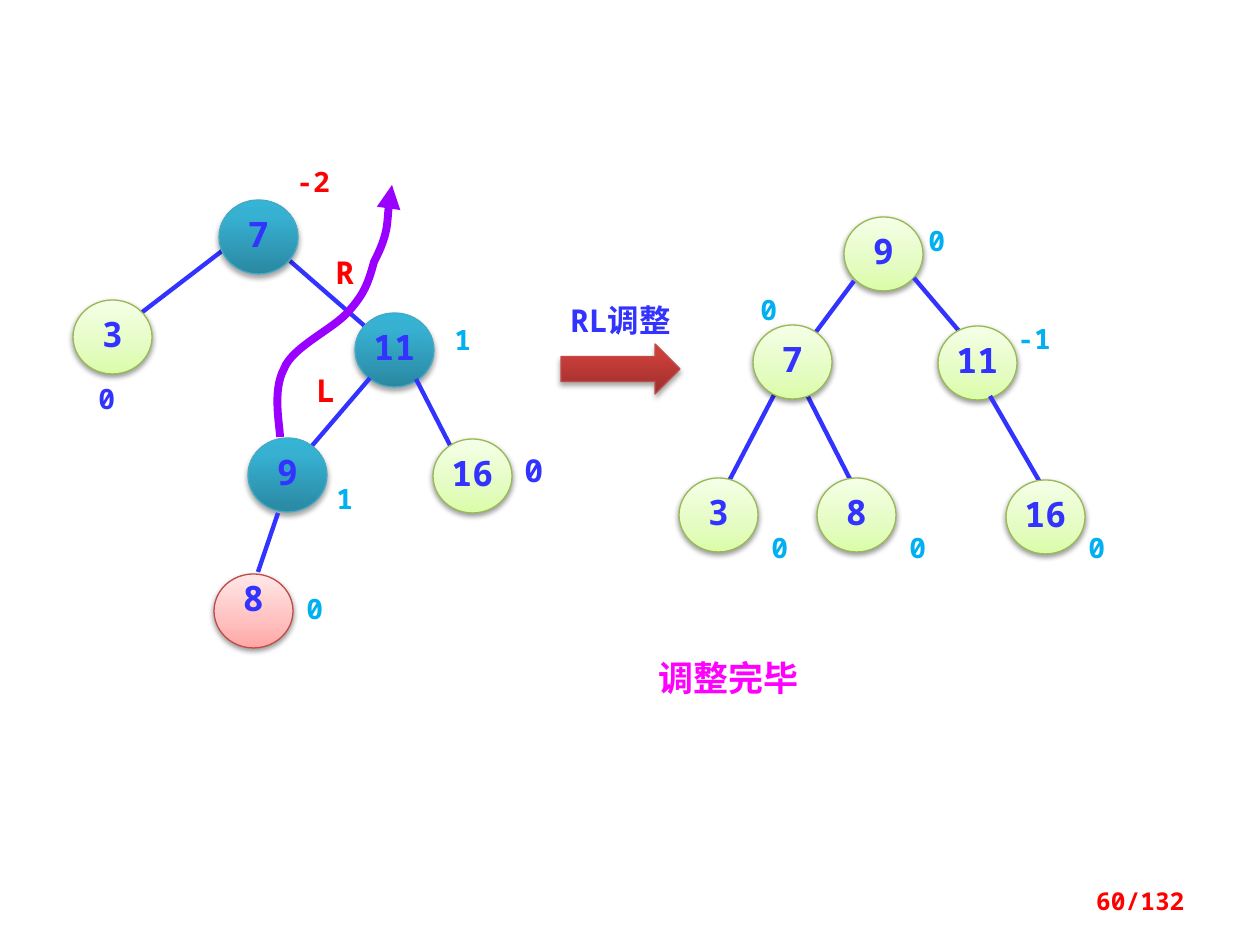
import pptx
import pptx.dml.color
import pptx.enum.shapes
import pptx.enum.text
import pptx.oxml
import pptx.oxml.ns
import pptx.oxml.xmlchemy
import pptx.util

RGB = pptx.dml.color.RGBColor
SHAPE = pptx.enum.shapes.MSO_SHAPE
ALIGN = pptx.enum.text.PP_ALIGN
ANCHOR = pptx.enum.text.MSO_ANCHOR
Pt = pptx.util.Pt
qn = pptx.oxml.ns.qn

SCALE = 914400 / 126
FONT = "Noto Sans Mono"
BLUE = RGB(0x33, 0x33, 0xFF)
SKY = RGB(0x00, 0xB0, 0xF0)
RED = RGB(0xFF, 0x00, 0x00)
MAGENTA = RGB(0xFF, 0x00, 0xFF)
PURPLE = RGB(0x99, 0x00, 0xFF)
TEAL_EDGE = RGB(0x46, 0xAA, 0xC5)
GREEN_EDGE = RGB(0x98, 0xB9, 0x55)
RED_EDGE = RGB(0xBF, 0x4C, 0x48)

TEAL = (TEAL_EDGE, ((0, RGB(0x2A, 0x88, 0xA2)), (80, RGB(0x37, 0xB1, 0xD2)), (100, RGB(0x34, 0xB4, 0xD6))), 35, 1.8)
GREEN = (GREEN_EDGE, ((0, RGB(0xDA, 0xFD, 0xA7)), (35, RGB(0xE4, 0xFC, 0xC2)), (100, RGB(0xF5, 0xFF, 0xE7))), 38, 1.6)
PINK = (RED_EDGE, ((0, RGB(0xFF, 0xA6, 0xA5)), (35, RGB(0xFF, 0xC0, 0xBF)), (100, RGB(0xFF, 0xE7, 0xE7))), 38, 1.6)
BRICK = (RED_EDGE, ((0, RGB(0x9C, 0x2F, 0x2D)), (80, RGB(0xCB, 0x3E, 0x3A)), (100, RGB(0xCE, 0x3B, 0x37))), 35, 1.8)

NODE_W, NODE_H = 79, 74

LEFT_NODES = (
    ("3", 3, 150, GREEN, (152, 101, 62, 170)),
    ("11", 285, 163, TEAL, (220, 111, 297, 178)),
    ("7", 149, 50, TEAL, None),
    ("9", 178, 288, TEAL, (300, 228, 229, 311)),
    ("16", 363, 289, GREEN, (346, 229, 382, 299)),
    ("8", 144, 424, PINK, (208, 363, 188, 422)),
)
LEFT_LABELS = (
    ("R", 253, 97, 18, RED), ("L", 234, 215, 18, RED),
    ("0", 224, 435, 16, SKY), ("1", 254, 325, 16, SKY),
    ("0", 442, 295, 18, BLUE), ("1", 372, 166, 16, SKY),
    ("0", 16, 225, 16, BLUE), ("-2", 214, 8, 16, RED),
)
RIGHT_NODES = (
    ("8", 147, 268, GREEN, (134, 179, 182, 273)),
    ("3", 9, 268, GREEN, (105, 183, 58, 273)),
    ("9", 174, 7, GREEN, None),
    ("7", 83, 115, GREEN, (184, 71, 134, 138)),
    ("11", 268, 116, GREEN, (244, 68, 289, 121)),
    ("16", 336, 270, GREEN, (320, 186, 371, 274)),
)
RIGHT_LABELS = (
    ("0", 89, 314, 16, SKY), ("0", 227, 314, 16, SKY),
    ("0", 406, 314, 16, SKY), ("0", 246, 7, 16, SKY),
    ("0", 78, 76, 16, SKY), ("-1", 335, 105, 16, SKY),
)
ROTATION_PATH = (
    (210, 287),
    (210, 276), (202, 241), (214, 219),
    (222, 197), (264, 179), (279, 161),
    (294, 144), (298, 134), (304, 112),
    (319, 83), (318, 52), (322, 35),
)


def px(length):
    """Turn px into EMU."""
    return pptx.util.Emu(round(length * SCALE))


def add_child(parent, tag, **attributes):
    """Append an XML element with the given attributes."""
    child = pptx.oxml.xmlchemy.OxmlElement(tag)
    for key, value in attributes.items():
        child.set(key, str(value))
    parent.append(child)
    return child


def write(frame, text, size, color, align=ALIGN.LEFT):
    """Write one bold run into a text frame."""
    frame.word_wrap = True
    paragraph = frame.paragraphs[0]
    paragraph.alignment = align
    run = paragraph.add_run()
    run.text = text
    run.font.name = FONT
    run.font.size = Pt(size)
    run.font.bold = True
    run.font.color.rgb = color
    return paragraph


def add_label(slide, box, text, size, color, align=ALIGN.LEFT, anchor=ANCHOR.TOP):
    """Add a text box filling the box."""
    frame = slide.shapes.add_textbox(*map(px, box)).text_frame
    frame.vertical_anchor = anchor
    write(frame, text, size, color, align)


def add_glossy(slide, kind, box, palette):
    """Add a preset shape with a gradient fill and a soft shadow."""
    edge, stops, opacity, distance = palette
    glossy = slide.shapes.add_shape(kind, *map(px, box))
    glossy.line.color.rgb = edge
    glossy.line.width = Pt(0.75)
    glossy.fill.gradient()
    glossy.fill.gradient_angle = 90
    properties = glossy.element.spPr
    stop_list = next(properties.iter(qn("a:gsLst")))
    stop_list.clear()
    for position, color in stops:
        stop = add_child(stop_list, "a:gs", pos=position * 1000)
        add_child(stop, "a:srgbClr", val=color)
    glossy.shadow.inherit = False
    effects = properties.find(qn("a:effectLst"))
    shadow = add_child(effects, "a:outerShdw", blurRad=Pt(3.1), dist=Pt(distance), dir=5400000, rotWithShape=0)
    add_child(add_child(shadow, "a:srgbClr", val="000000"), "a:alpha", val=opacity * 1000)
    return glossy


def add_edge(slide, left, top, ends):
    """Join a parent node to its child."""
    x1, y1, x2, y2 = ends
    edge = slide.shapes.add_connector(
        pptx.enum.shapes.MSO_CONNECTOR.STRAIGHT,
        px(left + x1), px(top + y1), px(left + x2), px(top + y2))
    edge.line.color.rgb = BLUE
    edge.line.width = Pt(2.5)
    add_child(edge.element.spPr, "a:effectLst")


def draw_tree(slide, box, nodes, labels):
    """Draw a tree with its nodes, edges and balance factors."""
    left, top = box
    for key, x, y, palette, ends in nodes:
        if ends:
            add_edge(slide, left, top, ends)
        node = add_glossy(slide, SHAPE.OVAL, (left + x, top + y, NODE_W, NODE_H), palette)
        frame = node.text_frame
        frame.margin_left = frame.margin_right = frame.margin_bottom = 0
        frame.margin_top = 0 if palette is PINK else px(10)
        frame.vertical_anchor = ANCHOR.TOP
        write(frame, key, 20, BLUE, ALIGN.CENTER).line_spacing = 0.8
    for text, x, y, size, color in labels:
        width = 39 if text == "0" or text == "1" else 49 if len(text) == 1 else 75
        add_label(slide, (left + x, top + y, width, 50 if size == 18 else 47), text, size, color)


def draw_rotation(slide, box):
    """Draw the curved arrow through the rotated nodes."""
    left, top = box
    builder = slide.shapes.build_freeform(*ROTATION_PATH[0], scale=SCALE)
    builder.add_line_segments(ROTATION_PATH[1:], close=False)
    curve = builder.convert_to_shape(px(left), px(top))
    curve.fill.background()
    curve.line.color.rgb = PURPLE
    curve.line.width = Pt(4.5)
    curve.shadow.inherit = False
    properties = curve.element.spPr
    add_child(properties.find(qn("a:ln")), "a:tailEnd", type="triangle")
    segments = list(properties.iter(qn("a:lnTo")))
    outline = segments[0].getparent()
    for first in range(0, len(segments), 3):
        bezier = add_child(outline, "a:cubicBezTo")
        for segment in segments[first:first + 3]:
            bezier.append(segment[0])
            outline.remove(segment)


def draw_transition(slide, box):
    """Draw the captioned arrow between the trees."""
    left, top = box
    add_glossy(slide, SHAPE.RIGHT_ARROW, (left + 19, top + 49, 119, 50), BRICK)
    add_label(slide, (left, top, 157, 50), "RL调整", 18, BLUE, ALIGN.CENTER)


def main():
    """Build and save the slide."""
    deck = pptx.Presentation()
    deck.slide_width, deck.slide_height = px(1260), px(945)
    slide = deck.slides.add_slide(deck.slide_layouts[6])
    before, after = (70, 150), (670, 210)
    draw_tree(slide, before, LEFT_NODES, LEFT_LABELS)
    draw_tree(slide, after, RIGHT_NODES, RIGHT_LABELS)
    add_label(slide, (610, 650, 238, 55), "调整完毕", 20, MAGENTA, ALIGN.CENTER)
    draw_rotation(slide, before)
    draw_transition(slide, (542, 295))
    add_label(slide, (903, 876, 294, 50), "60/132", 14, RED, ALIGN.RIGHT, ANCHOR.MIDDLE)
    deck.save("out.pptx")


if __name__ == "__main__":
    main()
